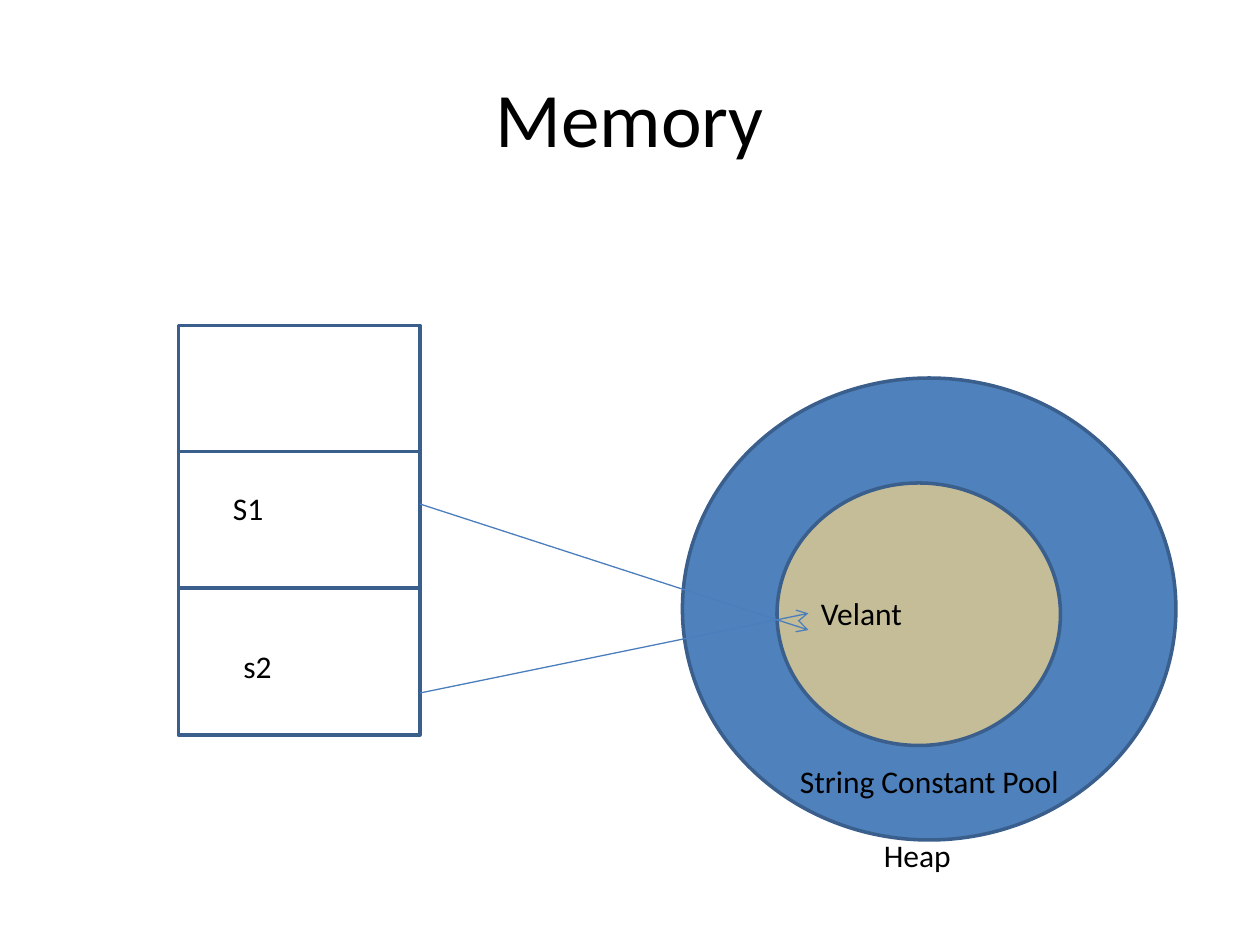
from lxml import etree
from pptx import Presentation
from pptx.dml.color import RGBColor
from pptx.enum.shapes import MSO_CONNECTOR, MSO_SHAPE
from pptx.enum.text import MSO_ANCHOR, PP_ALIGN
from pptx.oxml.ns import qn
from pptx.util import Pt

RECT, OVAL = MSO_SHAPE.RECTANGLE, MSO_SHAPE.OVAL
LINE = MSO_CONNECTOR.STRAIGHT
MIDDLE, CENTER = MSO_ANCHOR.MIDDLE, PP_ALIGN.CENTER
BLACK = RGBColor(0x00, 0x00, 0x00)
BLUE = RGBColor(0x4F, 0x81, 0xBD)
TAN = RGBColor(0xC4, 0xBD, 0x97)
EDGE = RGBColor(0x3A, 0x5F, 0x8C)
ARROW = RGBColor(0x4B, 0x7E, 0xBC)

deck = Presentation()
deck.slide_width, deck.slide_height = Pt(720), Pt(540)
slide = deck.slides.add_slide(deck.slide_layouts[5])
shapes = slide.shapes


def style(frame, size):
    font = frame.paragraphs[0].runs[0].font
    font.name, font.size = "Calibri", Pt(size)
    font.color.rgb = BLACK


def draw(kind, left, top, width, height, fill=None):
    shape = shapes.add_shape(kind, Pt(left), Pt(top), Pt(width), Pt(height))
    shape.shadow.inherit = False
    shape.line.color.rgb, shape.line.width = EDGE, Pt(2)
    if fill is None:
        shape.fill.background()
    else:
        shape.fill.solid()
        shape.fill.fore_color.rgb = fill


title = shapes.title
title.left, title.top, title.width, title.height = Pt(36), Pt(21.6), Pt(648), Pt(90)
title.text_frame.text = "Memory"
title.text_frame.vertical_anchor = MIDDLE
title.text_frame.paragraphs[0].alignment = CENTER
style(title.text_frame, 44)

top = 186
for height in (72, 78, 84):
    draw(RECT, 102, top, 138, height)
    top += height

draw(OVAL, 390, 216, 282, 264, BLUE)
draw(OVAL, 444, 276, 162, 150, TAN)

labels = [
    ("S1", 126, 276, 90),
    ("s2", 132, 366, 66),
    ("Heap", 498, 474, 102),
    ("String Constant Pool", 450, 432, 192),
    ("Velant", 462, 336, 120),
]
for text, left, top, width in labels:
    box = shapes.add_textbox(Pt(left), Pt(top), Pt(width), Pt(29))
    box.text_frame.word_wrap = True
    box.text_frame.text = text
    style(box.text_frame, 18)

for start, end in ((288, 360), (396, 350.5)):
    link = shapes.add_connector(LINE, Pt(240), Pt(start), Pt(462), Pt(end))
    link.line.color.rgb, link.line.width = ARROW, Pt(0.75)
    etree.SubElement(link.line._get_or_add_ln(), qn("a:tailEnd"), type="arrow")
    etree.SubElement(link._element.spPr, qn("a:effectLst"))

deck.save("out.pptx")
